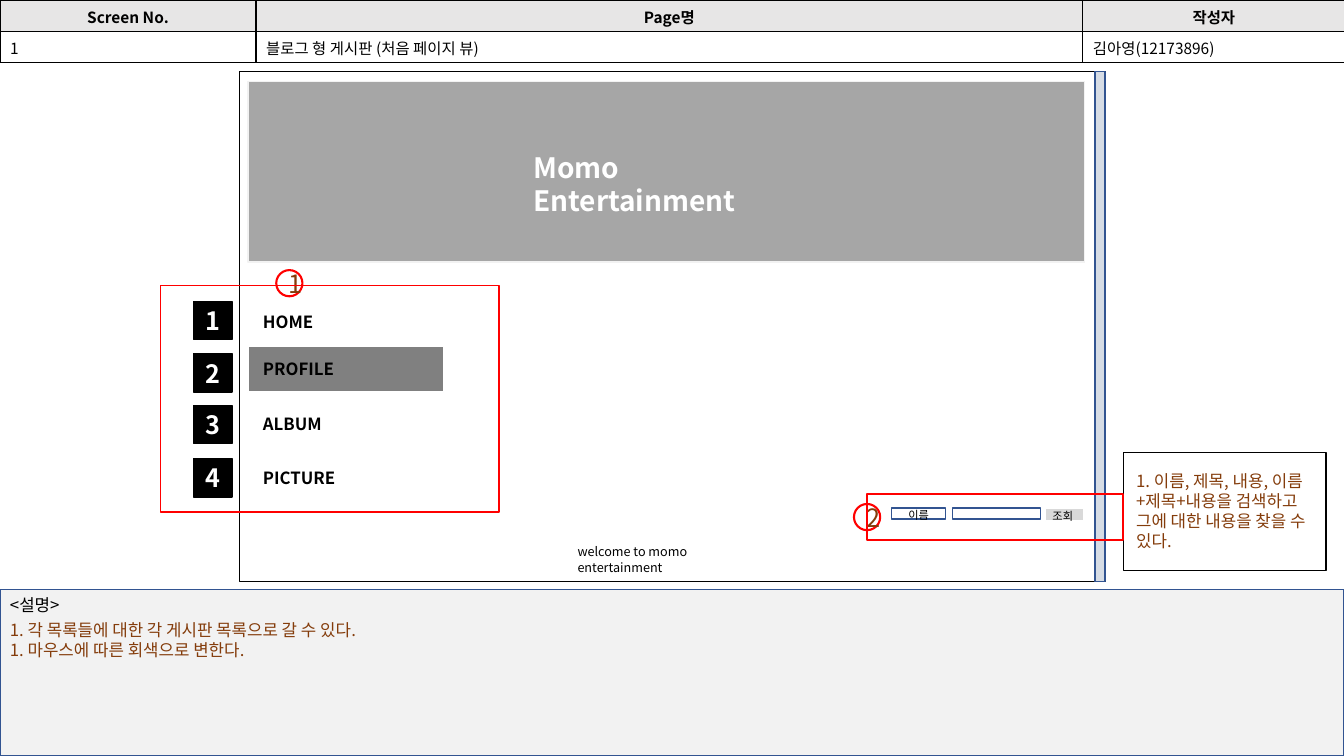
from lxml import etree
from pptx import Presentation
from pptx.dml.color import RGBColor
from pptx.enum import shapes, text
from pptx.oxml import ns
from pptx.util import Inches, Pt

FONT = "Noto Sans CJK KR"
COLORS = {
    "black": "000000", "white": "FFFFFF", "red": "FF0000", "brown": "843C0B",
    "blue": "325491", "panel": "F2F2F2", "scroll": "D6DCE5", "header": "E7E6E6",
    "banner": "A6A6A6", "hover": "808080", "button": "D9D9D9",
}


def rgb(name):
    """Return the named colour."""
    return RGBColor.from_string(COLORS[name])


def write(tf, lines, size, color="black", bold=False, align=text.PP_ALIGN.LEFT):
    """Fill a text frame with one paragraph per line."""
    tf.word_wrap = True
    for i, line in enumerate(lines):
        p = tf.add_paragraph() if i else tf.paragraphs[0]
        p.text = line
        p.alignment = align
        p.font.name, p.font.size, p.font.bold = FONT, Pt(size), bold
        p.font.color.rgb = rgb(color)
        for r in p.runs:
            ea = etree.SubElement(r._r.get_or_add_rPr(), ns.qn("a:ea"))
            ea.set("typeface", FONT)


def add_box(s, x, y, w, h, fill, line, width=1, kind=shapes.MSO_SHAPE.RECTANGLE):
    """Draw a flat shape; a fill of None leaves it open."""
    sp = s.shapes.add_shape(kind, Inches(x), Inches(y), Inches(w), Inches(h))
    sp.shadow.inherit = False
    if fill:
        sp.fill.solid()
        sp.fill.fore_color.rgb = rgb(fill)
    else:
        sp.fill.background()
    sp.line.color.rgb = rgb(line)
    sp.line.width = Pt(width)
    return sp


def add_label(s, x, y, w, h, lines, size, color="black", bold=False):
    """Place a wrapped text box."""
    tf = s.shapes.add_textbox(Inches(x), Inches(y), Inches(w), Inches(h)).text_frame
    write(tf, lines, size, color, bold)
    tf.auto_size = text.MSO_AUTO_SIZE.SHAPE_TO_FIT_TEXT


def add_number(sp, number, color, bold):
    """Centre a number in a shape."""
    sp.text_frame.vertical_anchor = text.MSO_ANCHOR.MIDDLE
    write(sp.text_frame, [str(number)], 18, color, bold, text.PP_ALIGN.CENTER)


def add_marker(s, x, y, number):
    """Draw a red circled callout number."""
    sp = add_box(s, x, y, 0.26, 0.26, "white", "red", 1.5, shapes.MSO_SHAPE.OVAL)
    add_number(sp, number, "brown", False)


def set_borders(cell):
    """Give a cell thin black borders."""
    tc_pr = cell._tc.get_or_add_tcPr()
    for i, side in enumerate(("a:lnL", "a:lnR", "a:lnT", "a:lnB")):
        ln = etree.Element(ns.qn(side), w=str(Pt(1)))
        fill = etree.SubElement(ln, ns.qn("a:solidFill"))
        etree.SubElement(fill, ns.qn("a:srgbClr"), val=COLORS["black"])
        tc_pr.insert(i, ln)


def add_page_header(s, x, y, widths, row_height, rows):
    """Build the table naming the screen, the page and its author."""
    frame = s.shapes.add_table(len(rows), len(widths), Inches(x), Inches(y),
                               Inches(sum(widths)), Inches(row_height * len(rows)))
    table = frame.table
    for column, width in zip(table.columns, widths):
        column.width = Inches(width)
    for i, row in enumerate(rows):
        table.rows[i].height = Inches(row_height)
        head = i == 0
        for j, value in enumerate(row):
            cell = table.cell(i, j)
            cell.fill.solid()
            cell.fill.fore_color.rgb = rgb("header" if head else "white")
            cell.vertical_anchor = text.MSO_ANCHOR.MIDDLE
            align = text.PP_ALIGN.CENTER if head else text.PP_ALIGN.LEFT
            write(cell.text_frame, [value], 11, bold=head, align=align)
            set_borders(cell)


def add_description(s, x, y, w, h):
    """Build the description panel along the bottom."""
    add_box(s, x, y, w, h, "panel", "blue")
    add_label(s, x, y, 1.69, 0.3, ["<설명>"], 12)
    notes = ["1. 각 목록들에 대한 각 게시판 목록으로 갈 수 있다.",
             "1. 마우스에 따른 회색으로 변한다."]
    add_label(s, x, y + 0.25, 7.1, 0.5, notes, 12, "brown")


def add_browser(s, x, y, w, h):
    """Build the page window with scroll bar, banner and greeting."""
    add_box(s, x, y, w, h, "white", "black", 0.25)
    add_box(s, x + w - 0.1, y, 0.1, h, "scroll", "blue")
    add_box(s, x + 0.09, y + 0.1, 8.3, 1.79, "banner", "panel")
    add_label(s, x + 2.82, y + 0.73, 2.85, 0.44, ["Momo Entertainment"], 20, "white", True)
    add_label(s, x + 3.26, y + 4.64, 2.06, 0.25, ["welcome to momo entertainment"], 9)


def add_menu(s, x, y, w, h):
    """Build the numbered menu inside its red frame."""
    add_marker(s, x + 1.15, y - 0.15, 1)
    add_box(s, x + 0.87, y + 0.61, 1.94, 0.45, "hover", "white")
    items = [("HOME", 0.16, 0.21), ("PROFILE", 0.68, 0.68),
             ("ALBUM", 1.19, 1.23), ("PICTURE", 1.72, 1.76)]
    for number, (name, tile_y, name_y) in enumerate(items, 1):
        tile = add_box(s, x + 0.33, y + tile_y, 0.38, 0.38, "black", "black")
        add_number(tile, number, "white", True)
        add_label(s, x + 0.92, y + name_y, 1.86, 0.3, [name], 12, bold=True)
    add_box(s, x, y, w, h, None, "red")


def add_search(s, x, y, w, h):
    """Build the search row, its red frame and the note beside it."""
    add_marker(s, x - 0.13, y + 0.1, 2)
    add_box(s, x + w, y - 0.41, 2.01, 1.17, None, "black")
    add_box(s, x + 0.24, y + 0.14, 0.54, 0.11, "white", "blue")
    add_box(s, x + 0.85, y + 0.14, 0.87, 0.11, "white", "blue")
    add_box(s, x + 1.77, y + 0.14, 0.38, 0.13, "button", "white")
    add_label(s, x + 0.31, y + 0.09, 0.71, 0.24, ["이름"], 8)
    add_label(s, x + 1.74, y + 0.1, 0.71, 0.24, ["조회"], 8)
    add_box(s, x, y, w, h, None, "red")
    note = "1. 이름, 제목, 내용, 이름+제목+내용을 검색하고 그에 대한 내용을 찾을 수 있다."
    add_label(s, x + w + 0.03, y - 0.28, 1.93, 0.91, [note], 12, "brown")


def main():
    """Assemble the storyboard slide and save it."""
    prs = Presentation()
    prs.slide_width, prs.slide_height = Inches(13.33), Inches(7.5)
    s = prs.slides.add_slide(prs.slide_layouts[6])
    add_description(s, 0, 5.85, 13.33, 1.65)
    add_browser(s, 2.37, 0.71, 8.59, 5.06)
    add_page_header(s, 0, 0, [2.54, 8.2, 2.6], 0.31, [
        ["Screen No.", "Page명", "작성자"],
        ["1", "블로그 형 게시판 (처음 페이지 뷰)", "김아영(12173896)"],
    ])
    add_menu(s, 1.59, 2.83, 3.36, 2.25)
    add_search(s, 8.6, 4.9, 2.54, 0.46)
    prs.save("out.pptx")


if __name__ == "__main__":
    main()
